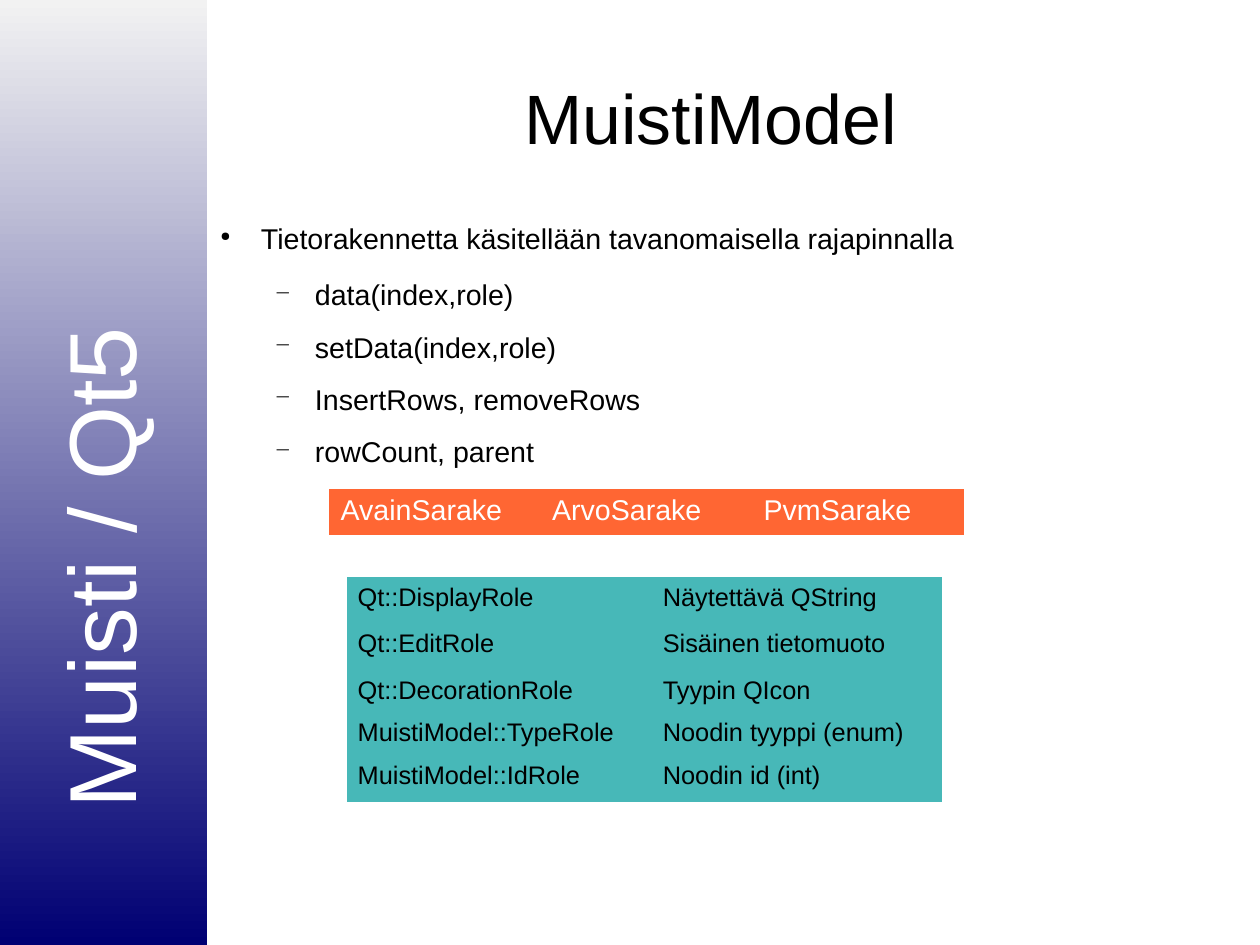
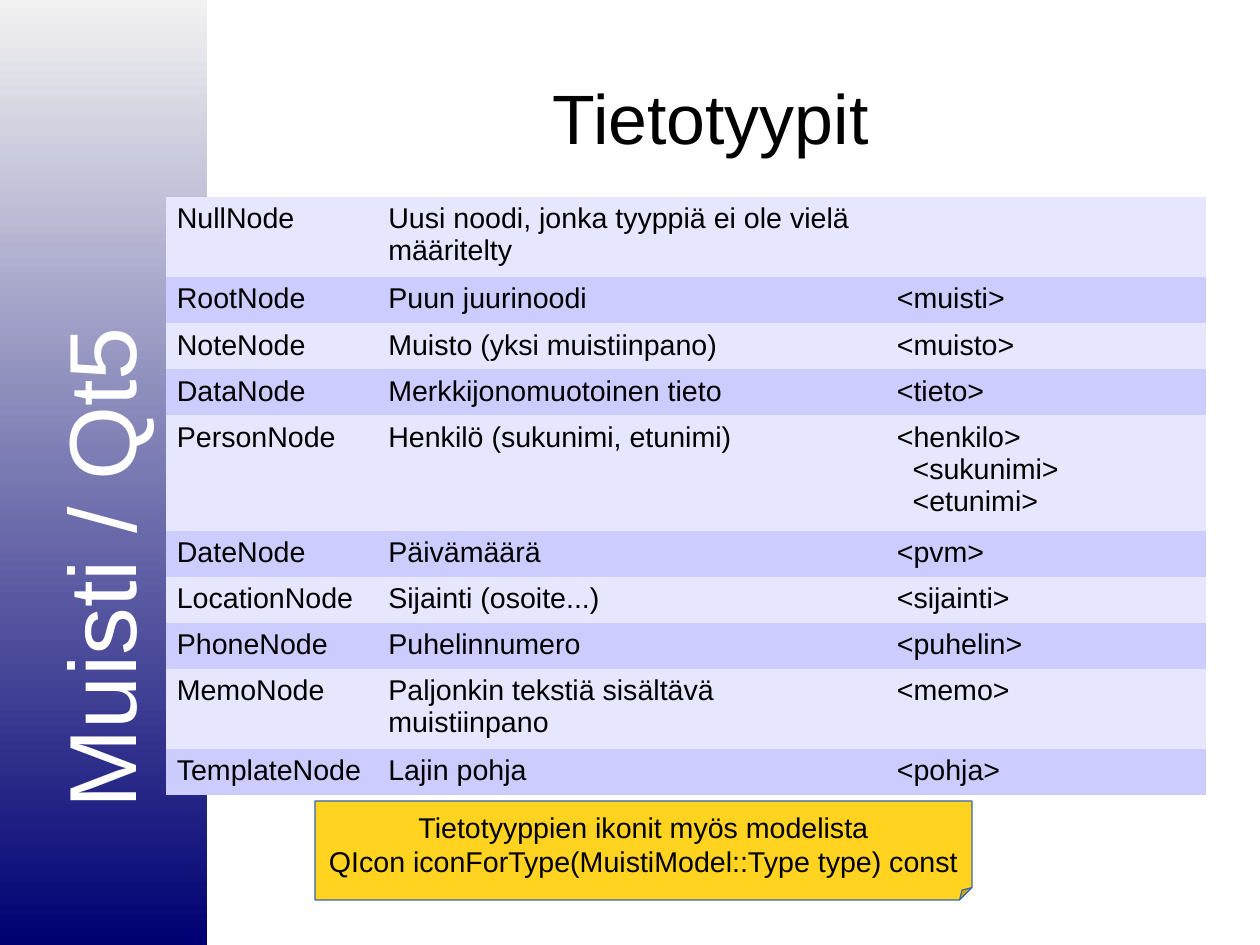
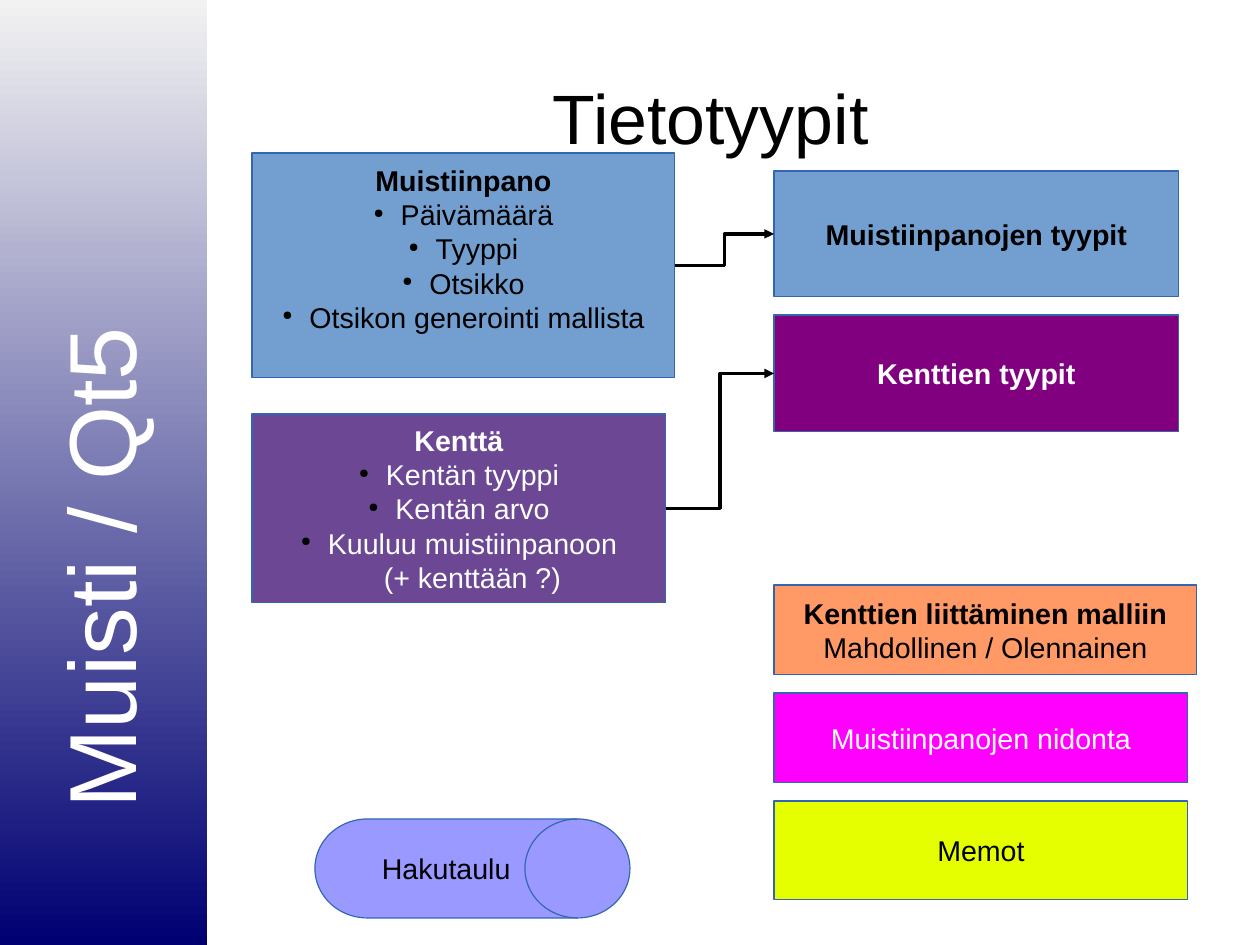
from dataclasses import dataclass
from typing import Any

import pptx
import pptx.dml.color
import pptx.enum.shapes
import pptx.enum.text
import pptx.oxml.ns
import pptx.util
from lxml import etree

Cm = pptx.util.Cm
Pt = pptx.util.Pt
KIND = pptx.enum.shapes.MSO_SHAPE
ALIGN = pptx.enum.text.PP_ALIGN
ANCHOR = pptx.enum.text.MSO_ANCHOR

# Shared look
FONT = "Arial"
BLACK, WHITE, EDGE = "000000", "FFFFFF", "3465AF"
NAVY, MIST = "000073", "F2F2F2"
BLUE, TEAL, FLAME = "729FCF", "47B8B8", "FF6633"
BANDS = ("E6E6FF", "CCCCFF")
PLAIN = "{2D5ABB26-0587-4C30-8999-92F81FD0307C}"
PAD = {"margin_left": Cm(0.25), "margin_right": Cm(0.25),
       "margin_top": Cm(0.13), "margin_bottom": Cm(0.13)}
BARE = dict.fromkeys(PAD, 0)
ROW, LINE = 1.02, 0.77


@dataclass(frozen=True)
class Para:
    text: str
    bold: bool = False
    mark: str = ""
    scale: int = 100
    left: float = 0
    hang: float = 0
    after: float = 0


@dataclass(frozen=True)
class Box:
    area: tuple[float, float, float, float]
    fill: str
    paras: list[Para]
    ink: str = BLACK
    kind: Any = KIND.RECTANGLE
    foot: float = 0.13


@dataclass(frozen=True)
class Grid:
    left: float
    top: float
    cols: list[float]
    rows: list[float]
    cells: list[list[str]]
    fills: tuple[str, ...]
    size: int = 18
    ink: str = BLACK


# Helpers
def hue(code: str) -> pptx.dml.color.RGBColor:
    return pptx.dml.color.RGBColor.from_string(code)


def apply(item: Any, form: dict[str, Any]) -> None:
    for name, value in form.items():
        setattr(item, name, value)


def node(host: Any, tag: str, **attrs: str) -> Any:
    return etree.SubElement(host, pptx.oxml.ns.qn(tag), attrs)


def write(frame: Any, paras: list[Para], size: int, ink: str = BLACK,
          align: Any = ALIGN.LEFT) -> None:
    for i, para in enumerate(paras):
        line = frame.add_paragraph() if i else frame.paragraphs[0]
        props = line._p.get_or_add_pPr()
        if para.left:
            props.set("marL", str(Cm(para.left)))
            props.set("indent", str(Cm(-para.hang)))
        if para.mark:
            node(node(props, "a:buClr"), "a:srgbClr", val=BLACK)
            node(props, "a:buSzPct", val=str(para.scale * 1000))
            node(props, "a:buChar", char=para.mark)
        line.text = para.text
        apply(line, {"alignment": align, "space_after": Pt(para.after)})
        for run in line.runs:
            apply(run.font, {"name": FONT, "size": Pt(size), "bold": para.bold})
            run.font.color.rgb = hue(ink)


def label(slide: Any, area: tuple[float, ...], paras: list[Para], size: int,
          form: dict[str, Any], ink: str = BLACK, align: Any = ALIGN.LEFT) -> Any:
    box = slide.shapes.add_textbox(*map(Cm, area))
    apply(box.text_frame, {"word_wrap": True, **form})
    write(box.text_frame, paras, size, ink, align)
    return box


def block(slide: Any, box: Box) -> Any:
    shape = slide.shapes.add_shape(box.kind, *map(Cm, box.area))
    shape.shadow.inherit = False
    shape.fill.solid()
    shape.fill.fore_color.rgb = hue(box.fill)
    shape.line.color.rgb = hue(EDGE)
    shape.line.width = 0
    apply(shape.text_frame, {**PAD, "margin_bottom": Cm(box.foot),
                             "word_wrap": False, "vertical_anchor": ANCHOR.MIDDLE})
    write(shape.text_frame, box.paras, 18, box.ink, ALIGN.CENTER)
    return shape


def table(slide: Any, grid: Grid) -> None:
    frame = slide.shapes.add_table(
        len(grid.rows), len(grid.cols), Cm(grid.left), Cm(grid.top),
        Cm(sum(grid.cols)), Cm(sum(grid.rows)))
    body = frame.table
    apply(body, {"first_row": False, "horz_banding": False})
    for style in frame._element.iter(pptx.oxml.ns.qn("a:tableStyleId")):
        style.text = PLAIN
    for col, width in zip(body.columns, grid.cols):
        col.width = Cm(width)
    for r, (height, texts) in enumerate(zip(grid.rows, grid.cells)):
        body.rows[r].height = Cm(height)
        for c, text in enumerate(texts):
            cell = body.cell(r, c)
            apply(cell, PAD)
            cell.fill.solid()
            cell.fill.fore_color.rgb = hue(grid.fills[r % len(grid.fills)])
            # Nested tags are indented below their parent
            paras = [Para(part, left=0.35 if i else 0)
                     for i, part in enumerate(text.split("\n"))]
            if text:
                write(cell.text_frame, paras, grid.size, grid.ink)


def arrow(slide: Any, start: Any, end: Any) -> None:
    link = slide.shapes.add_connector(
        pptx.enum.shapes.MSO_CONNECTOR.ELBOW, 0, 0, 0, 0)
    link.begin_connect(start, 3)
    link.end_connect(end, 1)
    link.line.color.rgb = hue(BLACK)
    link.line.width = 0
    node(link.line._get_or_add_ln(), "a:tailEnd", type="triangle")
    node(link._element.spPr, "a:effectLst")


def page(deck: Any, title: str) -> Any:
    slide = deck.slides.add_slide(deck.slide_layouts[6])
    # Side band with its upright name
    band = slide.shapes.add_shape(KIND.RECTANGLE, 0, 0, Cm(4.6), Cm(21))
    band.shadow.inherit = False
    band.line.fill.background()
    band.fill.gradient()
    band.fill.gradient_angle = 90
    for stop, code in zip(band.fill.gradient_stops, (NAVY, MIST)):
        stop.color.rgb = hue(code)
    name = label(slide, (-3.8, 10.8, 12, 2.84), [Para("Muisti / Qt5")], 60, PAD, WHITE)
    name.rotation = 270
    # Title
    label(slide, (5, 0.84, 21.6, 3.5), [Para(title)], 44,
          {**BARE, "vertical_anchor": ANCHOR.MIDDLE}, align=ALIGN.CENTER)
    return slide


def dots(*texts: str) -> list[Para]:
    return [Para(text, mark="●", scale=45, left=0.6, hang=0.6) for text in texts]


# Slides
def model(deck: Any) -> None:
    slide = page(deck, "MuistiModel")
    head = Para("Tietorakennetta käsitellään tavanomaisella rajapinnalla",
                mark="●", scale=45, left=1.2, hang=0.9, after=14.2)
    calls = [Para(text, mark="−", scale=75, left=2.4, hang=0.9, after=11.3)
             for text in ("data(index,role)", "setData(index,role)",
                          "InsertRows, removeRows", "rowCount, parent")]
    label(slide, (4.6, 4.9, 21.44, 15.1), [head, *calls], 18, BARE)
    table(slide, Grid(7.32, 10.87, [4.7] * 3, [0.97],
                      [["AvainSarake", "ArvoSarake", "PvmSarake"]],
                      (FLAME,), ink=WHITE))
    roles = [
        ["Qt::DisplayRole", "Näytettävä QString"],
        ["Qt::EditRole", "Sisäinen tietomuoto"],
        ["Qt::DecorationRole", "Tyypin QIcon"],
        ["MuistiModel::TypeRole", "Noodin tyyppi (enum)"],
        ["MuistiModel::IdRole", "Noodin id (int)"],
    ]
    table(slide, Grid(7.7, 12.83, [6.78, 6.45], [1.04, 1.04, 0.88, 0.88, 1.04],
                      roles, (TEAL,), size=16))


def types(deck: Any) -> None:
    slide = page(deck, "Tietotyypit")
    cells = [
        ["NullNode", "Uusi noodi, jonka tyyppiä ei ole vielä määritelty", ""],
        ["RootNode", "Puun juurinoodi", "<muisti>"],
        ["NoteNode", "Muisto (yksi muistiinpano)", "<muisto>"],
        ["DataNode", "Merkkijonomuotoinen tieto", "<tieto>"],
        ["PersonNode", "Henkilö (sukunimi, etunimi)",
         "<henkilo>\n<sukunimi>\n<etunimi>"],
        ["DateNode", "Päivämäärä", "<pvm>"],
        ["LocationNode", "Sijainti (osoite...)", "<sijainti>"],
        ["PhoneNode", "Puhelinnumero", "<puhelin>"],
        ["MemoNode", "Paljonkin tekstiä sisältävä muistiinpano", "<memo>"],
        ["TemplateNode", "Lajin pohja", "<pohja>"],
    ]
    extra = {0: 1, 4: 2, 8: 1}
    rows = [ROW + LINE * extra.get(r, 0) for r in range(len(cells))]
    table(slide, Grid(3.68, 4.37, [4.7, 11.3, 7.13], rows, cells, BANDS))
    note = block(slide, Box((7, 17.8, 14.6, 2.2), "FFD320", [
        Para("Tietotyyppien ikonit myös modelista"),
        Para("QIcon iconForType(MuistiModel::Type type) const"),
    ], kind=KIND.FOLDED_CORNER))
    # Size of the folded corner
    for guides in note._element.iter(pptx.oxml.ns.qn("a:avLst")):
        node(guides, "a:gd", name="adj", fmla="val 12500")


def parts(deck: Any) -> None:
    slide = page(deck, "Tietotyypit")
    boxes = [
        Box((5.6, 3.4, 9.4, 5), BLUE, [
            Para("Muistiinpano", True),
            *dots("Päivämäärä", "Tyyppi", "Otsikko", "Otsikon generointi mallista"),
        ], foot=0.89),
        Box((5.6, 9.2, 9.2, 4.2), "6B4794", [
            Para("Kenttä", True),
            *dots("Kentän tyyppi", "Kentän arvo",
                  "Kuuluu muistiinpanoon\v(+ kenttään ?)"),
        ], WHITE),
        Box((17.2, 3.8, 9, 2.8), BLUE, [Para("Muistiinpanojen tyypit", True)]),
        Box((17.2, 7, 9, 2.6), "800080", [Para("Kenttien tyypit", True)], WHITE),
        Box((7, 18.2, 7, 2.2), "9999FF", [Para("Hakutaulu")],
            kind=KIND.FLOWCHART_DIRECT_ACCESS_STORAGE),
        Box((17.2, 13, 9.4, 2), "FF9966", [
            Para("Kenttien liittäminen malliin", True),
            Para("Mahdollinen / Olennainen"),
        ]),
        Box((17.2, 15.4, 9.2, 2), "FF00FF", [Para("Muistiinpanojen nidonta")], WHITE),
        Box((17.2, 17.8, 9.2, 2.2), "E6FF00", [Para("Memot")]),
    ]
    note, field, kinds, sorts, *_ = [block(slide, box) for box in boxes]
    arrow(slide, note, kinds)
    arrow(slide, field, sorts)


def main() -> None:
    deck = pptx.Presentation()
    apply(deck, {"slide_width": Cm(28), "slide_height": Cm(21)})
    for draw in (model, types, parts):
        draw(deck)
    deck.save("out.pptx")


if __name__ == "__main__":
    main()
